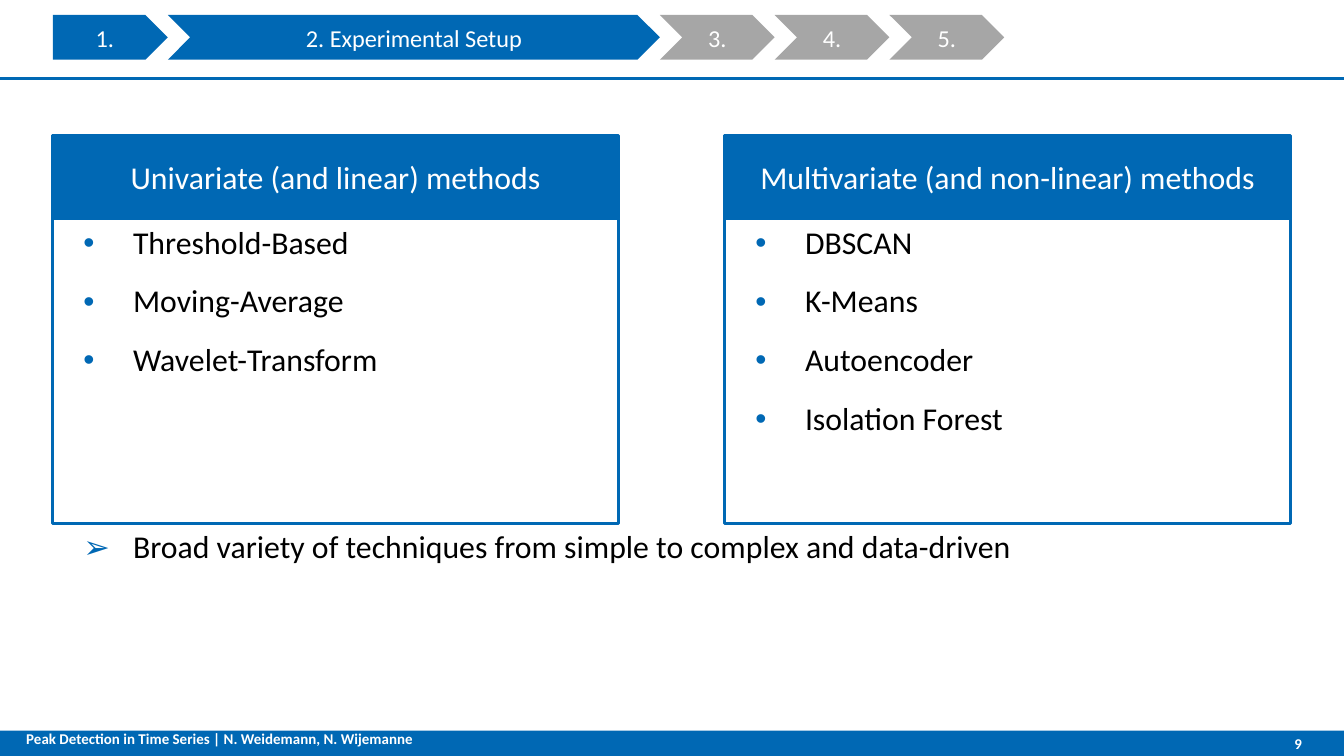
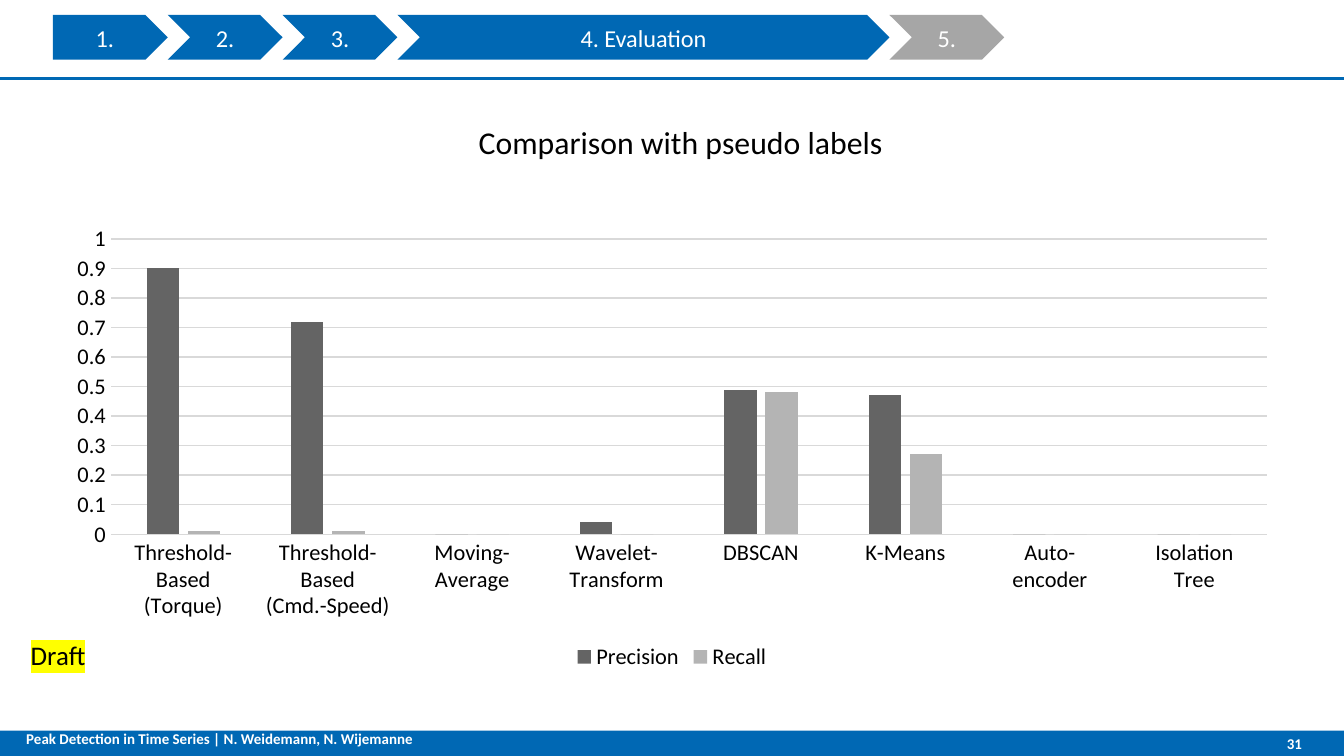
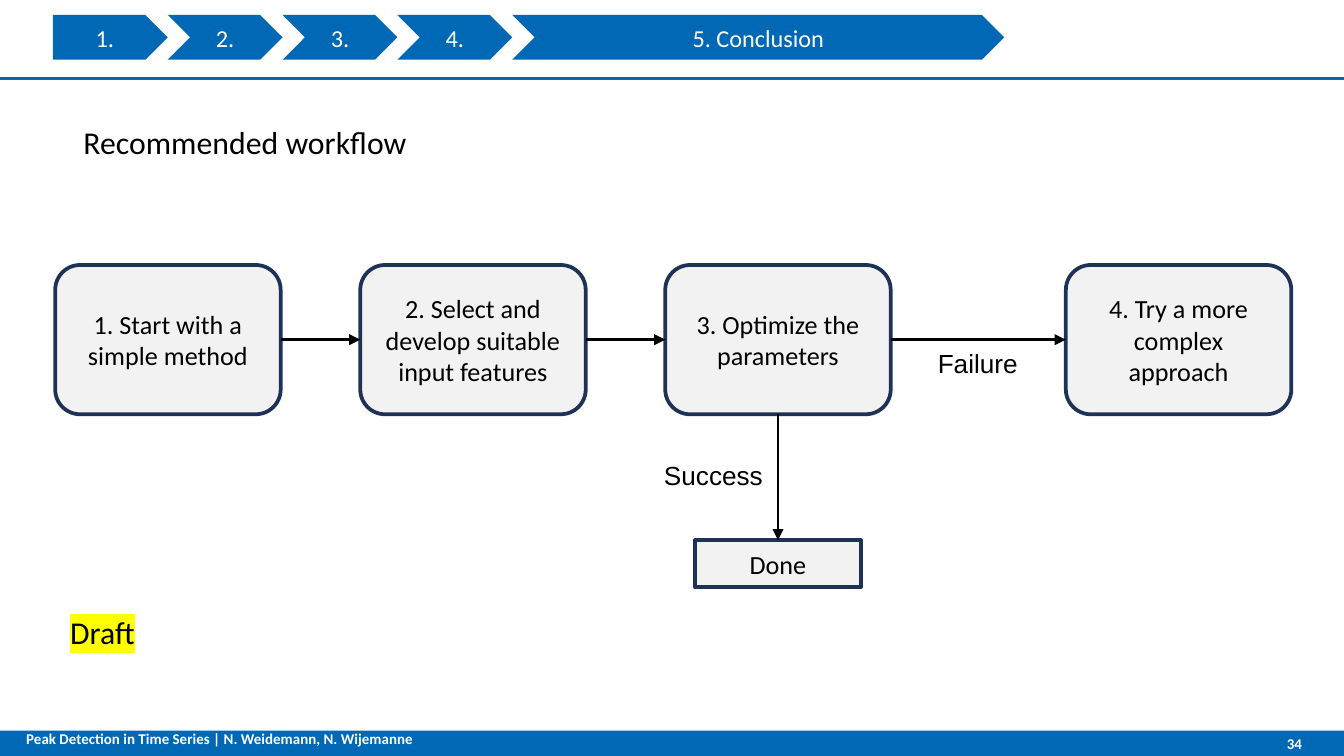
"""Build three slides of a talk on peak detection in time series."""
from lxml import etree
from pptx import Presentation
from pptx.chart.data import CategoryChartData
from pptx.dml.color import RGBColor
from pptx.enum.chart import XL_CHART_TYPE, XL_LEGEND_POSITION, XL_TICK_MARK
from pptx.enum.shapes import MSO_CONNECTOR, MSO_SHAPE
from pptx.enum.text import MSO_ANCHOR, PP_ALIGN
from pptx.oxml.ns import qn
from pptx.util import Pt

BLUE = RGBColor(0x00, 0x68, 0xB4)
NAVY = RGBColor(0x1E, 0x32, 0x56)
GREY = RGBColor(0xA6, 0xA6, 0xA6)
PALE = RGBColor(0xF2, 0xF2, 0xF2)
GRID = RGBColor(0xD9, 0xD9, 0xD9)
DARK_BAR = RGBColor(0x64, 0x64, 0x64)
LIGHT_BAR = RGBColor(0xB4, 0xB4, 0xB4)
YELLOW = RGBColor(0xFF, 0xFF, 0x00)
WHITE = RGBColor(0xFF, 0xFF, 0xFF)
BLACK = RGBColor(0x00, 0x00, 0x00)

RECT, ROUNDED = MSO_SHAPE.RECTANGLE, MSO_SHAPE.ROUNDED_RECTANGLE
PENTAGON, CHEVRON = MSO_SHAPE.PENTAGON, MSO_SHAPE.CHEVRON
STRAIGHT = MSO_CONNECTOR.STRAIGHT
LEFT, CENTER, RIGHT = PP_ALIGN.LEFT, PP_ALIGN.CENTER, PP_ALIGN.RIGHT
TOP, MIDDLE = MSO_ANCHOR.TOP, MSO_ANCHOR.MIDDLE
SITE_TOP, SITE_LEFT, SITE_BOTTOM, SITE_RIGHT = range(4)

FONT = "Calibri"
WIDTH, HEIGHT = 720, 405
MARGIN = 28.2
CONTENT_WIDTH = WIDTH - 2 * MARGIN
INSETS = (7.2, 3.6, 7.2, 3.6)
HANGING = (36, -26.6)
FOOTER = "Peak Detection in Time Series | N. Weidemann, N. Wijemanne"
SECTIONS = ["", "Experimental Setup", "", "Evaluation", "Conclusion"]


def write(shape, lines, size=17, color=BLACK, font=FONT, bold=False, align=LEFT,
          anchor=TOP, insets=INSETS, indent=None, spacing=None, bullet=None, highlight=None):
    """Fill a shape with one paragraph per line."""
    frame = shape.text_frame
    frame.word_wrap = True
    frame.vertical_anchor = anchor
    frame.margin_left, frame.margin_top, frame.margin_right, frame.margin_bottom = map(Pt, insets)
    for index, line in enumerate(lines):
        para = frame.add_paragraph() if index else frame.paragraphs[0]
        if indent:
            set_indent(para, indent, bullet)
        para.alignment = align
        if spacing:
            para.line_spacing = spacing
        if index:
            para.space_before = Pt(12)
        span = para.add_run()
        span.text = line
        span.font.name, span.font.size, span.font.bold = font, Pt(size), bold
        span.font.color.rgb = color
        if highlight:
            mark = etree.Element(qn("a:highlight"))
            etree.SubElement(mark, qn("a:srgbClr"), val=str(highlight))
            span.font.fill.solid()
            span.font.color.rgb = color
            span.font._element.find(qn("a:solidFill")).addnext(mark)


def set_indent(para, indent, bullet):
    """Indent a paragraph and give it a blue bullet if one is named."""
    properties = para._p.get_or_add_pPr()
    properties.set("marL", str(Pt(indent[0])))
    properties.set("indent", str(Pt(indent[1])))
    if bullet:
        tint = etree.SubElement(properties, qn("a:buClr"))
        etree.SubElement(tint, qn("a:srgbClr"), val=str(BLUE))
        etree.SubElement(properties, qn("a:buFont"), typeface="Arial")
        etree.SubElement(properties, qn("a:buChar"), char=bullet)


def add_box(shapes, kind, place, fill=None, line=None, weight=1.5):
    """Add a preset shape with a plain fill and outline."""
    box = shapes.add_shape(kind, *map(Pt, place))
    box.shadow.inherit = False
    if fill:
        box.fill.solid()
        box.fill.fore_color.rgb = fill
    else:
        box.fill.background()
    if line:
        box.line.color.rgb = line
        box.line.width = Pt(weight)
    else:
        box.line.fill.background()
    return box


def add_text(page, place, lines, **style):
    """Add a text box."""
    write(page.shapes.add_textbox(*map(Pt, place)), lines, **style)


def add_line(page, color, ends=(0, 0, 0, 0)):
    """Add a straight line without a shadow."""
    line = page.shapes.add_connector(STRAIGHT, *map(Pt, ends))
    line.line.color.rgb = color
    line.line.width = Pt(1.5)
    etree.SubElement(line.element.spPr, qn("a:effectLst"))
    return line


def add_arrow(page, start, start_site, end, end_site):
    """Connect two boxes with an arrow."""
    arrow = add_line(page, BLACK)
    arrow.begin_connect(start, start_site)
    arrow.end_connect(end, end_site)
    outline = arrow.element.spPr.find(qn("a:ln"))
    etree.SubElement(outline, qn("a:tailEnd"), type="triangle")


def add_progress(page, current):
    """Add the section chevrons, with the current one wide and later ones grey."""
    group = page.shapes.add_group_shape()
    left = MARGIN + 0.2
    for number, title in enumerate(SECTIONS, 1):
        width = 263.6 if number == current else 61.5
        label = f"{number}. {title}" if number == current else f"{number}."
        step = add_box(group.shapes, PENTAGON if number == 1 else CHEVRON,
                       (left, 8, width, 24), BLUE if number <= current else GREY)
        write(step, [label], size=13, color=WHITE, align=CENTER, anchor=MIDDLE)
        left += width


def add_page(deck, section, number):
    """Add a blank slide with its band, rule, progress bar and footer."""
    page = deck.slides.add_slide(deck.slide_layouts[6])
    add_box(page.shapes, RECT, (0, 391.5, WIDTH, 13.5), BLUE)
    add_line(page, BLUE, (WIDTH, 42.2, 0, 42.2))
    add_progress(page, section)
    small = {"size": 8, "color": WHITE, "bold": True}
    add_text(page, (7, 386, 312.5, 24.5), [FOOTER], insets=(7.2,) * 4, **small)
    add_text(page, (630, 391.5, 67.5, 13.5), [str(number)], align=RIGHT, anchor=MIDDLE,
             insets=(7.2, 3.6, 0, 3.6), **small)
    return page


def add_heading(page, text, align):
    """Add the heading of the content area."""
    add_text(page, (MARGIN, 59, CONTENT_WIDTH, 286.5), [text], align=align,
             indent=(9.4, 0), spacing=1.15)


def add_draft(page, place, size, spacing):
    """Add the highlighted draft mark."""
    add_text(page, place, ["Draft"], size=size, spacing=spacing, indent=HANGING,
             highlight=YELLOW)


def add_method_card(page, left, title, methods):
    """Add a titled card with a bullet list."""
    width = 303.3
    header = add_box(page.shapes, RECT, (left, 72.5, width, 44.7), BLUE, BLUE)
    write(header, [title], color=WHITE, align=CENTER, anchor=MIDDLE)
    body = add_box(page.shapes, RECT, (left, 117.2, width, 163.2), line=BLUE)
    write(body, methods, indent=HANGING, spacing=0.95, bullet="•")


def style_font(font, size):
    """Set the font of a chart part."""
    font.name, font.size, font.color.rgb = FONT, Pt(size), BLACK


def add_score_chart(page):
    """Add the column chart of precision and recall."""
    data = CategoryChartData()
    data.categories = ["Threshold-\nBased\n(Torque)", "Threshold-\nBased\n(Cmd.-Speed)",
                       "Moving-\nAverage", "Wavelet-\nTransform", "DBSCAN", "K-Means",
                       "Auto-\nencoder", "Isolation\nTree"]
    data.add_series("Precision", (0.9, 0.72, 0, 0.04, 0.49, 0.47, 0, 0))
    data.add_series("Recall", (0.01, 0.01, 0, 0, 0.48, 0.27, 0, 0))
    place = map(Pt, (MARGIN, 116, CONTENT_WIDTH, 246))
    chart = page.shapes.add_chart(XL_CHART_TYPE.COLUMN_CLUSTERED, *place, data).chart
    style_font(chart.font, 10)
    chart.has_title = False
    chart.has_legend = True
    chart.legend.position = XL_LEGEND_POSITION.BOTTOM
    chart.legend.include_in_layout = False
    style_font(chart.legend.font, 12)
    plot = chart.plots[0]
    plot.vary_by_categories = False
    plot.gap_width, plot.overlap = 219, -27
    for series, color in zip(plot.series, (DARK_BAR, LIGHT_BAR)):
        series.format.fill.solid()
        series.format.fill.fore_color.rgb = color
    for axis in (chart.category_axis, chart.value_axis):
        axis.major_tick_mark = axis.minor_tick_mark = XL_TICK_MARK.NONE
        style_font(axis.tick_labels.font, 12)
    scale = chart.value_axis
    scale.minimum_scale, scale.maximum_scale, scale.major_unit = 0, 1, 0.1
    scale.format.line.fill.background()
    for line in (chart.category_axis.format.line, scale.major_gridlines.format.line):
        line.color.rgb = GRID
        line.width = Pt(0.75)


def add_step(page, kind, place, text):
    """Add a box of the workflow."""
    step = add_box(page.shapes, kind, place, PALE, NAVY, 2)
    write(step, [text], size=14, align=CENTER, anchor=MIDDLE)
    return step


def build_methods(deck):
    """Build the overview of methods."""
    page = add_page(deck, 2, 9)
    add_method_card(page, MARGIN, "Univariate (and linear) methods",
                    ["Threshold-Based", "Moving-Average", "Wavelet-Transform"])
    add_method_card(page, 388.2, "Multivariate (and non-linear) methods",
                    ["DBSCAN", "K-Means", "Autoencoder", "Isolation Forest"])
    add_text(page, (MARGIN, 280.3, CONTENT_WIDTH, 65.5),
             ["Broad variety of techniques from simple to complex and data-driven"],
             indent=HANGING, spacing=0.95, bullet="➢")


def build_comparison(deck):
    """Build the comparison of scores."""
    page = add_page(deck, 4, 31)
    add_heading(page, "Comparison with pseudo labels", CENTER)
    add_draft(page, (0, 341.3, 69, 34), 14.4, 0.85)
    add_score_chart(page)


def build_workflow(deck):
    """Build the recommended workflow."""
    page = add_page(deck, 5, 34)
    add_heading(page, "Recommended workflow", LEFT)
    add_draft(page, (21, 326, 151, 55), 17, 0.95)
    steps = [add_step(page, ROUNDED, (left, 142, 120.8, 80), text) for left, text in (
        (29.6, "1. Start with a simple method"),
        (193, "2. Select and develop suitable input features"),
        (356.4, "3. Optimize the parameters"),
        (571, "4. Try a more complex approach"))]
    for start, end in zip(steps, steps[1:]):
        add_arrow(page, start, SITE_RIGHT, end, SITE_LEFT)
    done = add_step(page, RECT, (372.4, 289.4, 88.8, 25.2), "Done")
    add_arrow(page, steps[2], SITE_BOTTOM, done, SITE_TOP)
    for left, top, outcome in ((348.6, 242.8, "Success"), (495.3, 182.3, "Failure")):
        add_text(page, (left, top, 68, 24.3), [outcome], size=14, font="Arial")


def main():
    """Build and save the deck."""
    deck = Presentation()
    deck.slide_width, deck.slide_height = Pt(WIDTH), Pt(HEIGHT)
    build_methods(deck)
    build_comparison(deck)
    build_workflow(deck)
    deck.save("out.pptx")


if __name__ == "__main__":
    main()
